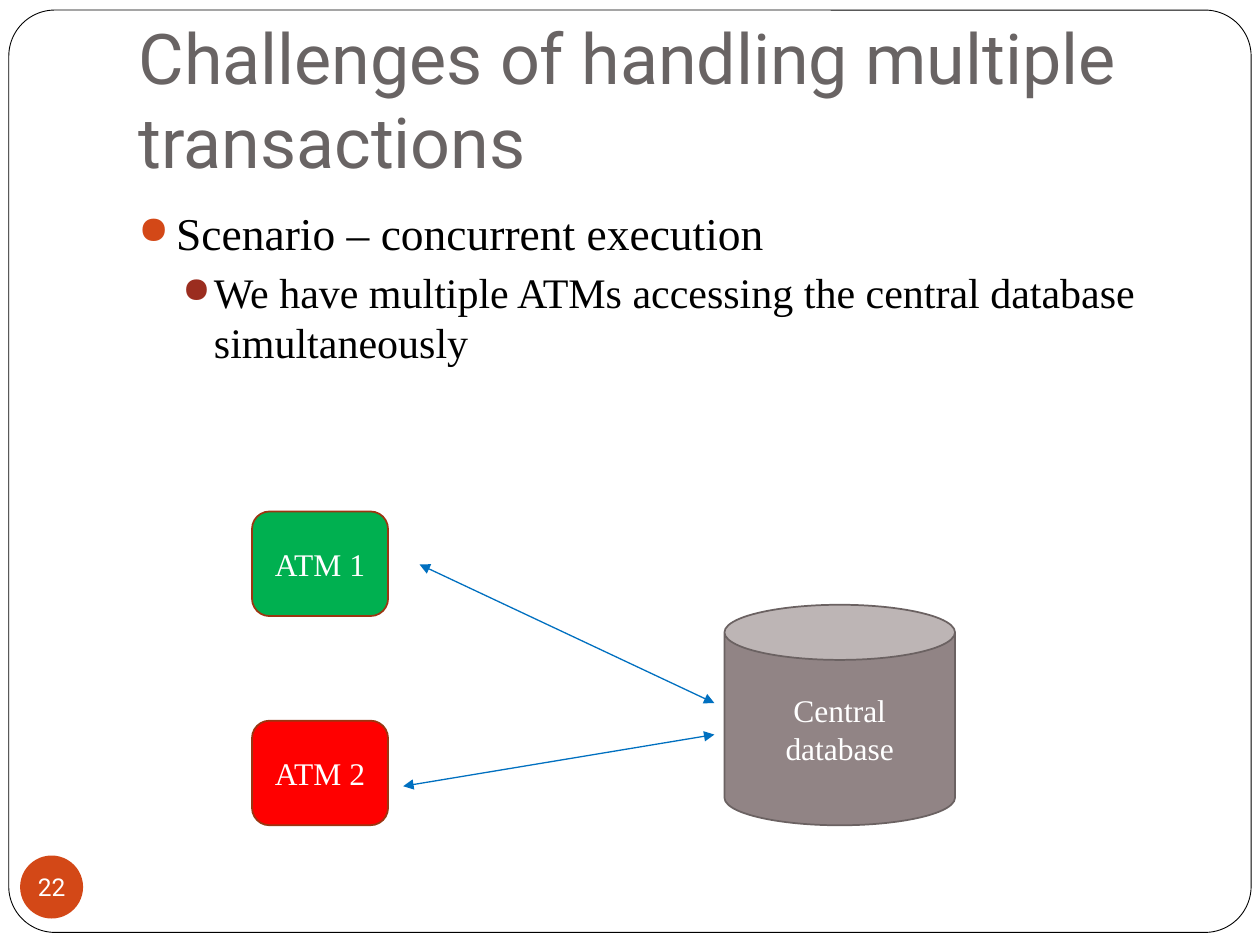
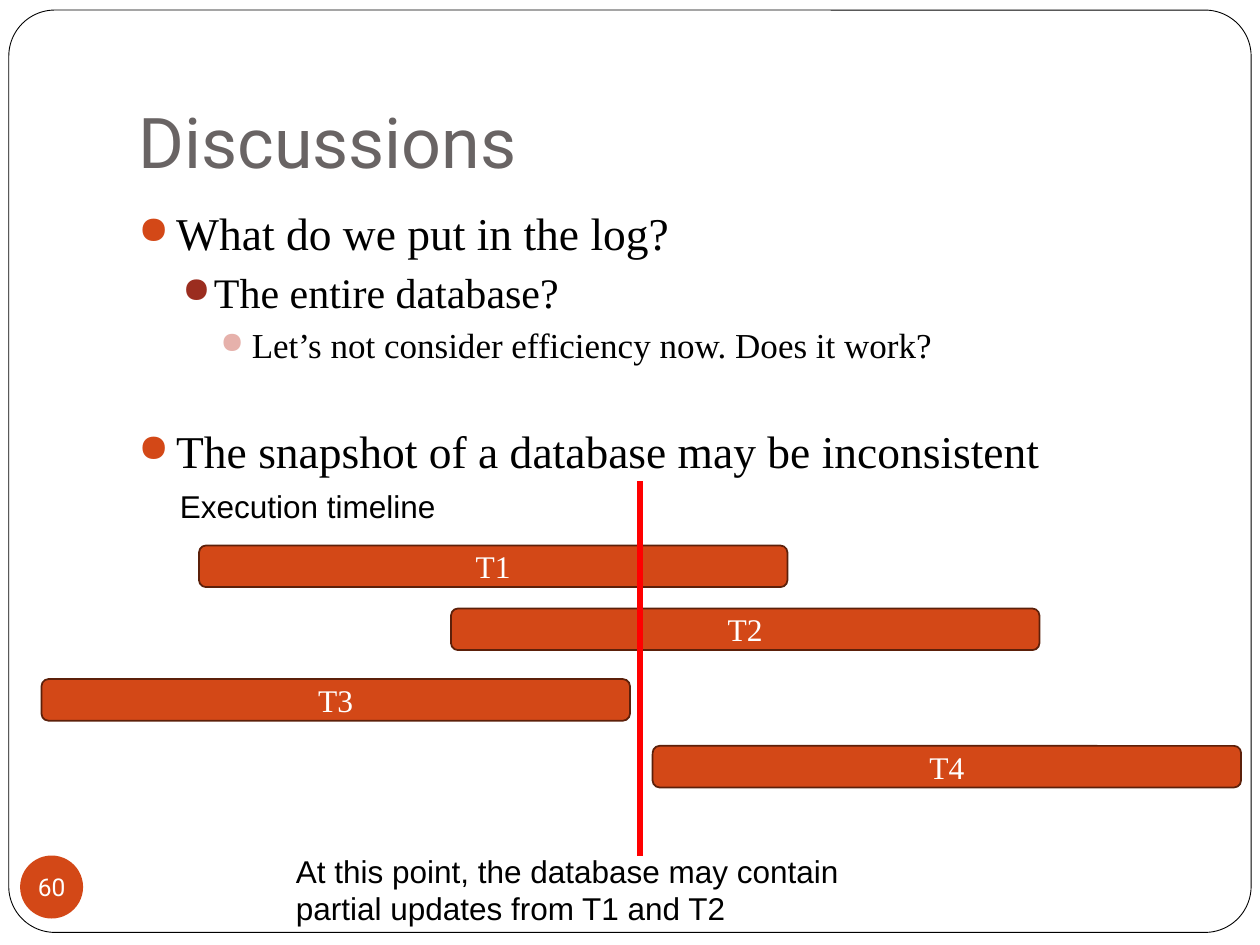
from dataclasses import dataclass

from lxml import etree
from pptx import Presentation
from pptx.dml.color import RGBColor
from pptx.enum.shapes import MSO_CONNECTOR, MSO_SHAPE
from pptx.enum.text import MSO_ANCHOR, MSO_AUTO_SIZE, PP_ALIGN
from pptx.oxml.ns import qn
from pptx.util import Inches, Pt

ROUNDED, OVAL, CAN = MSO_SHAPE.ROUNDED_RECTANGLE, MSO_SHAPE.OVAL, MSO_SHAPE.CAN
STRAIGHT = MSO_CONNECTOR.STRAIGHT
TOP, MIDDLE, BOTTOM = MSO_ANCHOR.TOP, MSO_ANCHOR.MIDDLE, MSO_ANCHOR.BOTTOM
LEFT, CENTER = PP_ALIGN.LEFT, PP_ALIGN.CENTER
NO_AUTOFIT = MSO_AUTO_SIZE.NONE
TITLE_ONLY = 5


@dataclass(frozen=True)
class Theme:
    white: str = "FFFFFF"
    black: str = "000000"
    title: str = "696464"
    accent: str = "D34817"
    bar_line: str = "5C200A"
    atm_line: str = "9C3511"
    green: str = "00B050"
    red: str = "FF0000"
    database: str = "918485"
    database_line: str = "6B6262"
    arrow: str = "0070C0"
    heading_font: str = "Roboto"
    body_font: str = "Times New Roman"
    note_font: str = "Arial"
    title_size: int = 40
    label_size: int = 18
    number_size: int = 14


@dataclass(frozen=True)
class Level:
    size: int
    bullet: str
    margin: float
    hanging: float
    before: float


THEME = Theme()
LEVELS = (
    Level(26, THEME.accent, 0.3, 0.3, 5.8),
    Level(24, "9B2D1F", 0.6, 0.25, 3.8),
    Level(20, "E6B1AB", 0.9, 0.25, 3.8),
)
TOPIC_GAP = 27


def set_attrs(obj, values):
    for name, value in values.items():
        setattr(obj, name, value)


def format_frame(tf, anchor=TOP, insets=(0.1, 0.05, 0.1, 0.05), wrap=True):
    left, top, right, bottom = map(Inches, insets)
    set_attrs(tf, {
        "auto_size": NO_AUTOFIT, "word_wrap": wrap, "vertical_anchor": anchor,
        "margin_left": left, "margin_top": top,
        "margin_right": right, "margin_bottom": bottom,
    })


def write(p, text, size, font, color, align=LEFT):
    p.alignment = align
    r = p.add_run()
    r.text = text
    set_attrs(r.font, {"size": Pt(size), "name": font})
    r.font.color.rgb = RGBColor.from_string(color)


def add_box(slide, kind, box, fill, line=None, width=1):
    sp = slide.shapes.add_shape(kind, *map(Inches, box))
    sp.shadow.inherit = False
    sp.fill.solid()
    sp.fill.fore_color.rgb = RGBColor.from_string(fill)
    if line:
        sp.line.color.rgb = RGBColor.from_string(line)
        sp.line.width = Pt(width)
    else:
        sp.line.fill.background()
    return sp


def add_labelled(slide, kind, box, text, fill, line):
    sp = add_box(slide, kind, box, fill, line)
    format_frame(sp.text_frame, MIDDLE)
    write(sp.text_frame.paragraphs[0], text, THEME.label_size,
          THEME.body_font, THEME.white, CENTER)


def add_note(slide, box, text):
    tf = slide.shapes.add_textbox(*map(Inches, box)).text_frame
    format_frame(tf)
    write(tf.paragraphs[0], text, THEME.label_size, THEME.note_font, THEME.black)


def add_line(slide, start, end, color, width, arrows=False):
    line = slide.shapes.add_connector(STRAIGHT, *map(Inches, start + end))
    line.line.color.rgb = RGBColor.from_string(color)
    line.line.width = Pt(width)
    if arrows:
        for tag in ("a:headEnd", "a:tailEnd"):
            etree.SubElement(line.line._get_or_add_ln(), qn(tag), type="triangle")
    etree.SubElement(line._element.spPr, qn("a:effectLst"))


def add_bullet(p, level):
    pPr = p._p.get_or_add_pPr()
    pPr.set("marL", str(Inches(level.margin)))
    pPr.set("indent", str(-Inches(level.hanging)))
    color = etree.SubElement(pPr, qn("a:buClr"))
    etree.SubElement(color, qn("a:srgbClr"), val=level.bullet)
    etree.SubElement(pPr, qn("a:buSzPct"), val="85000")
    etree.SubElement(pPr, qn("a:buChar"), char="●")


def add_outline(slide, items):
    tf = slide.shapes.add_textbox(*map(Inches, (1, 1.58, 8.5, 5))).text_frame
    format_frame(tf)
    previous = 0
    for i, (depth, text) in enumerate(items):
        p = tf.add_paragraph() if i else tf.paragraphs[0]
        level = LEVELS[depth]
        gap = TOPIC_GAP if depth < previous else 0
        set_attrs(p, {"level": depth, "space_before": Pt(level.before + gap)})
        write(p, text, level.size, THEME.body_font, THEME.black)
        add_bullet(p, level)
        previous = depth


def add_slide(prs, title, number, items):
    slide = prs.slides.add_slide(prs.slide_layouts[TITLE_ONLY])
    frame = add_box(slide, ROUNDED, (0.07, 0.08, 9.86, 7.32),
                    THEME.white, THEME.black, 0.5)
    frame.adjustments[0] = 0.05
    slide.shapes._spTree.insert(2, frame._element)

    sp = slide.shapes.title
    set_attrs(sp, {"left": Inches(1), "top": Inches(0.3),
                   "width": Inches(8.5), "height": Inches(1.25)})
    format_frame(sp.text_frame, BOTTOM, (0.1, 0.05, 0.1, 0.1))
    write(sp.text_frame.paragraphs[0], title, THEME.title_size,
          THEME.heading_font, THEME.title)

    add_outline(slide, items)
    badge = add_box(slide, OVAL, (0.16, 6.79, 0.5, 0.5), THEME.accent)
    format_frame(badge.text_frame, MIDDLE, (0, 0, 0, 0), False)
    write(badge.text_frame.paragraphs[0], number, THEME.number_size,
          THEME.heading_font, THEME.white, CENTER)
    return slide


def add_challenges(prs):
    slide = add_slide(prs, "Challenges of handling multiple transactions", "22", (
        (0, "Scenario – concurrent execution"),
        (1, "We have multiple ATMs accessing the central database simultaneously"),
    ))
    for text, top, fill in (("ATM 2", 5.72, THEME.red), ("ATM 1", 4.06, THEME.green)):
        add_labelled(slide, ROUNDED, (2, top, 1.08, 0.83), text, fill, THEME.atm_line)
    add_labelled(slide, CAN, (5.75, 4.8, 1.83, 1.75), "Central database",
                 THEME.database, THEME.database_line)
    for start, end in (((3.33, 4.48), (5.67, 5.58)), ((3.2, 6.24), (5.67, 5.83))):
        add_line(slide, start, end, THEME.arrow, 0.75, arrows=True)


def add_discussions(prs):
    slide = add_slide(prs, "Discussions", "60", (
        (0, "What do we put in the log?"),
        (1, "The entire database?"),
        (2, "Let’s not consider efficiency now. Does it work?"),
        (0, "The snapshot of a database may be inconsistent"),
    ))
    bars = ((1.58, 4.33), (3.58, 4.83), (0.33, 5.39), (5.18, 5.92))
    for number, (left, top) in enumerate(bars, 1):
        add_labelled(slide, ROUNDED, (left, top, 4.67, 0.33), f"T{number}",
                     THEME.accent, THEME.bar_line)
    add_note(slide, (1.33, 3.82, 2.33, 0.4), "Execution timeline")
    add_line(slide, (5.08, 3.82), (5.08, 6.79), THEME.red, 3)
    add_note(slide, (2.25, 6.71, 4.83, 0.71),
             "At this point, the database may contain partial updates from T1 and T2")


def main():
    prs = Presentation()
    set_attrs(prs, {"slide_width": Inches(10), "slide_height": Inches(7.5)})
    add_challenges(prs)
    add_discussions(prs)
    prs.save("out.pptx")


if __name__ == "__main__":
    main()
